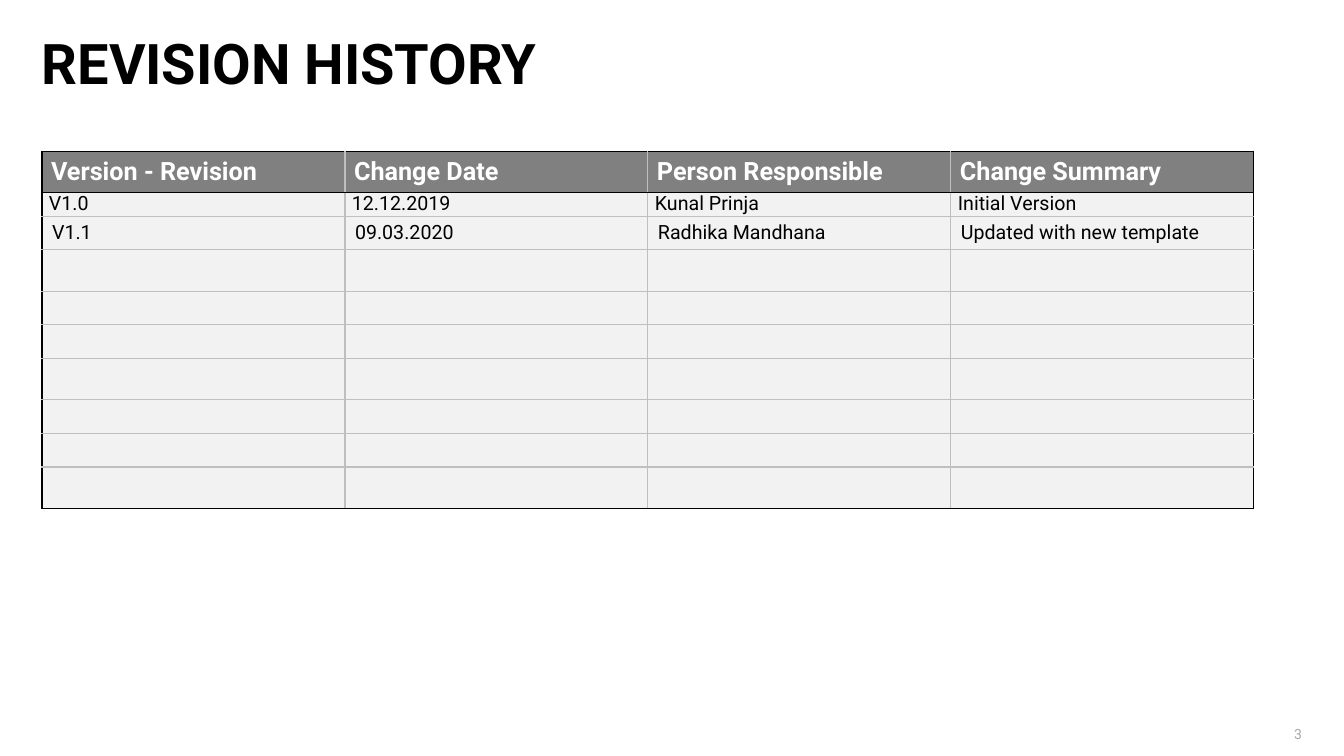
from lxml.etree import SubElement
from pptx import Presentation
from pptx.dml.color import RGBColor
from pptx.enum.text import MSO_ANCHOR, PP_ALIGN
from pptx.oxml.ns import qn
from pptx.util import Pt

BLACK, GRID = "000000", "BFBFBF"
HEADINGS = ["Version - Revision", "Change Date", "Person Responsible", "Change Summary"]
REVISIONS = [
    ["V1.0", "12.12.2019", "Kunal Prinja", "Initial Version"],
    ["V1.1", "09.03.2020", "Radhika Mandhana", "Updated with new template"],
]
TALL, COMPACT, NORMAL = 29.5, 17, 23.7
ROW_HEIGHTS = [TALL, COMPACT, NORMAL] + [TALL, NORMAL, NORMAL] * 2 + [TALL]
COLUMN_WIDTH = 216.4


def write(frame, text, size, color, bold=False):
    """Put one line of Roboto text in a frame and return its paragraph."""
    frame.word_wrap = True
    para = frame.paragraphs[0]
    para.text = text
    para.font.name = "Roboto"
    para.font.size = Pt(size)
    para.font.bold = bold
    para.font.color.rgb = RGBColor.from_string(color)
    return para


def add_border(cell, side, color):
    """Draw a 1 pt line on one side (L, R, T or B) of a cell."""
    line = SubElement(cell._tc.get_or_add_tcPr(), qn(f"a:ln{side}"), w=str(Pt(1)))
    SubElement(SubElement(line, qn("a:solidFill")), qn("a:srgbClr"), val=color)


deck = Presentation()
deck.slide_width, deck.slide_height = Pt(960), Pt(540)
page = deck.slides.add_slide(deck.slide_layouts[6])

# Title
title = page.shapes.add_textbox(Pt(30), Pt(30), Pt(900), Pt(78)).text_frame
title.margin_left = title.margin_right = title.margin_bottom = 0
write(title, "REVISION HISTORY", 40, BLACK, bold=True).line_spacing = 0.7

# Page number
number = page.shapes.add_textbox(Pt(906), Pt(513.5), Pt(24), Pt(16.5)).text_frame
number.margin_left = number.margin_right = number.margin_top = number.margin_bottom = 0
number.vertical_anchor = MSO_ANCHOR.BOTTOM
write(number, "3", 10, "A6A6A6").alignment = PP_ALIGN.RIGHT

# Revision table
row_count, column_count = len(ROW_HEIGHTS), len(HEADINGS)
empty_rows = [[""] * column_count] * (row_count - 1 - len(REVISIONS))
contents = [HEADINGS] + REVISIONS + empty_rows
table = page.shapes.add_table(
    row_count, column_count, Pt(30), Pt(108),
    Pt(COLUMN_WIDTH * column_count), Pt(sum(ROW_HEIGHTS)),
).table
table.first_row = table.horz_banding = False
for column in table.columns:
    column.width = Pt(COLUMN_WIDTH)

for row, (height, texts) in enumerate(zip(ROW_HEIGHTS, contents)):
    table.rows[row].height = Pt(height)
    header = row == 0
    for column, text in enumerate(texts):
        cell = table.cell(row, column)
        outer_sides = {
            "L": column == 0,
            "R": column == column_count - 1,
            "T": row <= 1,
            "B": row in (0, row_count - 1),
        }
        for side, outer in outer_sides.items():
            add_border(cell, side, BLACK if outer else GRID)
        cell.fill.solid()
        cell.fill.fore_color.rgb = RGBColor.from_string("808080" if header else "F2F2F2")
        cell.vertical_anchor = MSO_ANCHOR.TOP if row == 1 else MSO_ANCHOR.MIDDLE
        if row <= 1:
            cell.margin_left = cell.margin_right = Pt(6.5 if header else 5)
            cell.margin_top = cell.margin_bottom = 0
        para = write(cell.text_frame, text, 18 if header else 14,
                     "FFFFFF" if header else BLACK, bold=header)
        if not text:
            SubElement(para._p, qn("a:endParaRPr"), sz="1400")

deck.save("out.pptx")
